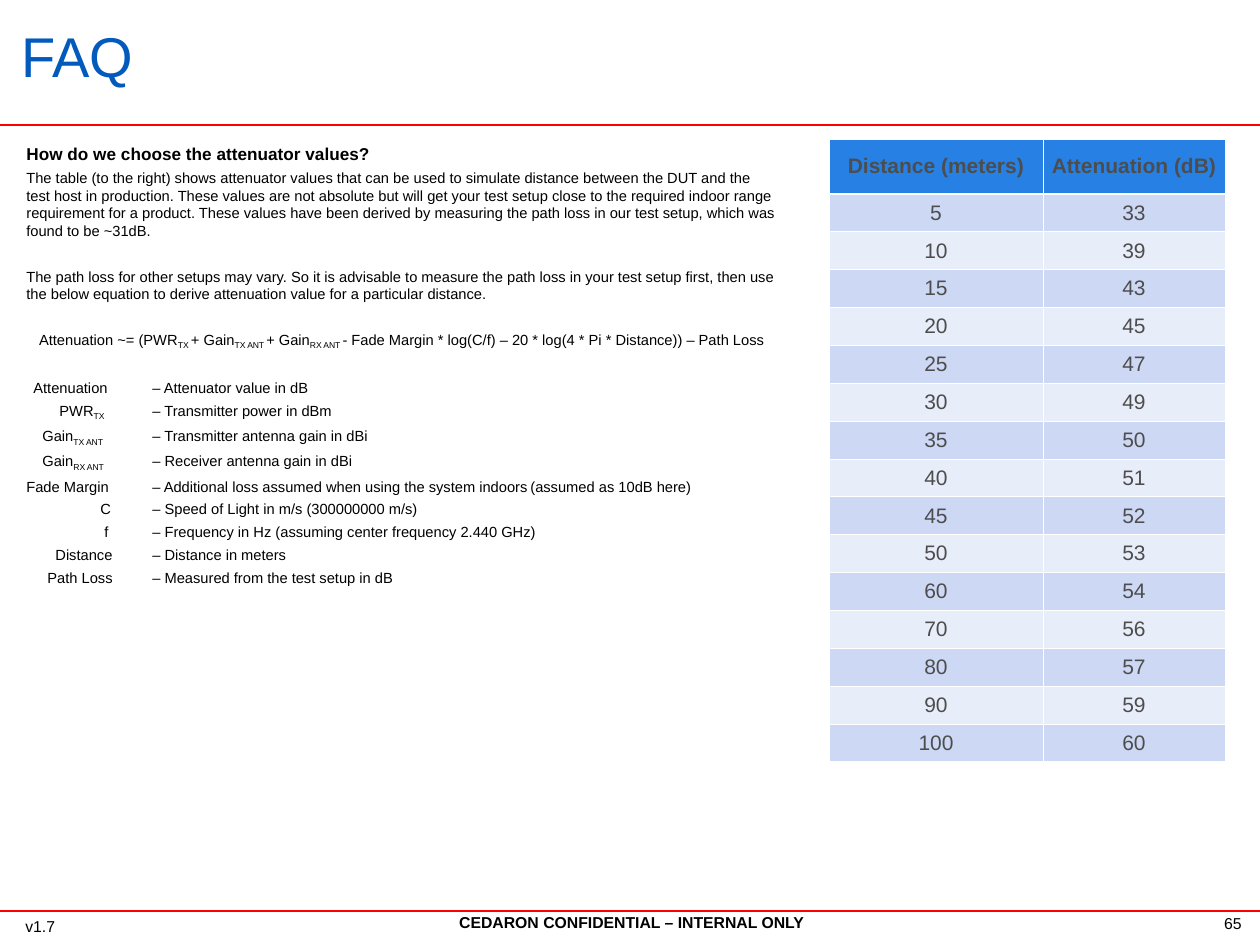
from lxml import etree
from pptx import Presentation, util as u
from pptx.dml.color import RGBColor
from pptx.enum import shapes, text
from pptx.oxml import ns

PX = u.Inches(1) / 126
LEFT, CENTER, RIGHT = text.PP_ALIGN.LEFT, text.PP_ALIGN.CENTER, text.PP_ALIGN.RIGHT


def px(*lengths):
    return [u.Emu(round(length * PX)) for length in lengths]


def write(para, words, color="000000", **formats):
    """Fill a paragraph; every second part between bars is a subscript."""
    for index, part in enumerate(words.split("|")):
        span = para.add_run()
        span.text = part
        for name, value in {"name": "Arial", **formats}.items():
            setattr(span.font, name, value)
        span.font.color.rgb = RGBColor.from_string(color)
        if index % 2:
            span.font._element.set("baseline", "-25000")


deck = Presentation()
deck.slide_width, deck.slide_height = px(1260, 945)
page = deck.slides.add_slide(deck.slide_layouts[6])

# Red rules above and below the content
for y in (125, 911):
    rule = page.shapes.add_connector(shapes.MSO_CONNECTOR.STRAIGHT, *px(0, y, 1260, y))
    rule.line.color.rgb = RGBColor.from_string("FF0000")
    rule.line.width = u.Pt(1.25)
    etree.SubElement(rule._element.spPr, ns.qn("a:effectLst"))

# Title and footer
small = {"size": u.Pt(9)}
lines = [
    ("FAQ", (9, 29, 1072, 66), LEFT, {"size": u.Pt(32), "color": "025BBC"}),
    ("CEDARON CONFIDENTIAL – INTERNAL ONLY", (309, 907, 645, 32), CENTER, {**small, "bold": True}),
    ("65", (1154, 908, 100, 32), RIGHT, small),
    ("v1.7", (13, 911, 100, 32), LEFT, small),
]
for words, place, align, formats in lines:
    box = page.shapes.add_textbox(*px(*place))
    box.text_frame.word_wrap = True
    para = box.text_frame.paragraphs[0]
    para.alignment = align
    if words == "FAQ":
        box.text_frame.vertical_anchor = text.MSO_ANCHOR.MIDDLE
        para.line_spacing = 0.79
    write(para, words, **formats)

# Question and answer
answer = page.shapes.add_textbox(*px(14, 137, 776, 451)).text_frame
answer.word_wrap = True
write(answer.paragraphs[0], "How do we choose the attenuator values?", size=u.Pt(9.8), bold=True)

body = {"size": u.Pt(8.4)}
passages = [
    ("The table (to the right) shows attenuator values that can be used to simulate distance "
     "between the DUT and the test host in production. These values are not absolute but will get "
     "your test setup close to the required indoor range requirement for a product. These values "
     "have been derived by measuring the path loss in our test setup, which was found to be ~31dB.",
     3, LEFT),
    ("The path loss for other setups may vary. So it is advisable to measure the path loss in your "
     "test setup first, then use the below equation to derive attenuation value for a particular "
     "distance.", 16, LEFT),
    ("Attenuation ~= (PWR|TX |+ Gain|TX ANT |+ Gain|RX ANT |- Fade Margin * log(C/f) – "
     "20 * log(4 * Pi * Distance)) – Path Loss", 16, CENTER),
]
for words, gap, align in passages:
    para = answer.add_paragraph()
    para.space_before = u.Pt(gap)
    para.alignment = align
    write(para, words, **body)

# Terms of the equation, each with its first-line indent
terms = [
    (7, "Attenuation\t– Attenuator value in dB"),
    (33, "PWR|TX\t|– Transmitter power in dBm"),
    (16, "Gain|TX ANT\t|– Transmitter antenna gain in dBi"),
    (16, "Gain|RX ANT\t|– Receiver antenna gain in dBi"),
    (0, "Fade Margin\t– Additional loss assumed when using the system indoors\t(assumed as 10dB here)"),
    (74, "C\t– Speed of Light in m/s (300000000 m/s)"),
    (78, "f\t– Frequency in Hz (assuming center frequency 2.440 GHz)"),
    (29, "Distance\t– Distance in meters"),
    (21, "Path Loss\t– Measured from the test setup in dB"),
]
for number, (indent, words) in enumerate(terms):
    para = answer.add_paragraph()
    props = para._p.get_or_add_pPr()
    props.set("marL", "0")
    props.set("indent", str(px(indent)[0]))
    tabs = etree.SubElement(props, ns.qn("a:tabLst"))
    for stop in px(126, 638):
        etree.SubElement(tabs, ns.qn("a:tab"), pos=str(stop), algn="l")
    para.space_before = u.Pt(3 if number else 16)
    write(para, words, **body)

# Attenuation by distance
rows = [("Distance (meters)", "Attenuation (dB)"),
        (5, 33), (10, 39), (15, 43), (20, 45), (25, 47), (30, 49), (35, 50), (40, 51),
        (45, 52), (50, 53), (60, 54), (70, 56), (80, 57), (90, 59), (100, 60)]
heights = [55] + [26] * (len(rows) - 1)
table = page.shapes.add_table(len(rows), 2, *px(829, 139, 396, sum(heights))).table
table.horz_banding = False
for column, width in zip(table.columns, px(214, 182)):
    column.width = width
for r, (values, height) in enumerate(zip(rows, px(*heights))):
    table.rows[r].height = height
    fill = "2781E5" if r == 0 else ("E8EDFA", "CDD8F5")[r % 2]
    for c, value in enumerate(values):
        cell = table.cell(r, c)
        cell.margin_left, cell.margin_right = px(1, 1)
        cell.vertical_anchor = text.MSO_ANCHOR.MIDDLE
        for side in ("lnL", "lnR", "lnT", "lnB"):
            under_header = (r, side) in ((0, "lnB"), (1, "lnT"))
            border = etree.SubElement(cell._tc.get_or_add_tcPr(), ns.qn("a:" + side),
                                      w=str(u.Pt(1.47 if under_header else 0.45)))
            paint = etree.SubElement(border, ns.qn("a:solidFill"))
            etree.SubElement(paint, ns.qn("a:srgbClr"), val="FFFFFF")
        cell.fill.solid()
        cell.fill.fore_color.rgb = RGBColor.from_string(fill)
        para = cell.text_frame.paragraphs[0]
        para.alignment = CENTER
        write(para, str(value), "4D4D4D", size=u.Pt(12), bold=r == 0)

deck.save("out.pptx")
